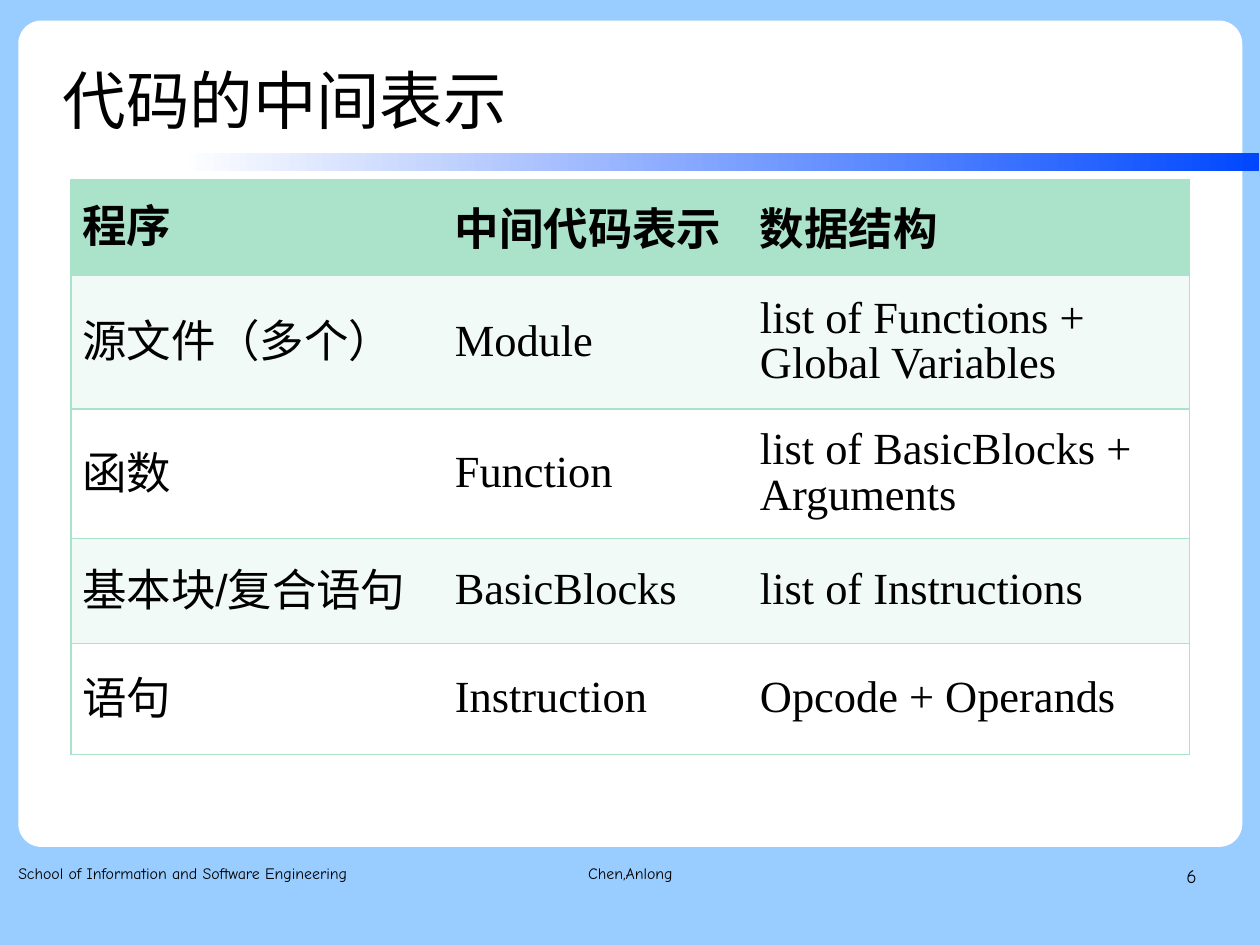
from lxml import etree
from pptx import Presentation
from pptx.dml.color import RGBColor
from pptx.enum.shapes import MSO_SHAPE
from pptx.enum.text import MSO_ANCHOR, PP_ALIGN
from pptx.oxml.ns import qn
from pptx.util import Inches, Pt

GREEN, PALE, WHITE, BLACK = "AAE2CA", "F1FAF6", "FFFFFF", "000000"
SKY, BLUE = "99CCFF", "0047FF"

COLUMNS = [3.26, 2.67, 3.86]
ROWS = [
    (0.84, ["程序", "中间代码表示", "数据结构"]),
    (1.17, ["源文件（多个）", "Module", "list of Functions + Global Variables"]),
    (1.13, ["函数", "Function", "list of BasicBlocks + Arguments"]),
    (0.92, ["基本块/复合语句", "BasicBlocks", "list of Instructions"]),
    (0.97, ["语句", "Instruction", "Opcode + Operands"]),
]


def rgb(color):
    return RGBColor.from_string(color)


def write(tf, text, size, font, spacing, bold=False, align=PP_ALIGN.LEFT):
    p = tf.paragraphs[0]
    p.alignment = align
    p.line_spacing = spacing
    r = p.add_run()
    r.text = text
    r.font.size = Pt(size)
    r.font.name = font
    r.font.bold = bold
    r.font.color.rgb = rgb(BLACK)


def add_text(s, box, text, size, font, spacing, align=PP_ALIGN.LEFT,
             anchor=MSO_ANCHOR.TOP):
    tf = s.shapes.add_textbox(*map(Inches, box)).text_frame
    tf.word_wrap = True
    tf.margin_left = tf.margin_right = tf.margin_top = tf.margin_bottom = 0
    tf.vertical_anchor = anchor
    write(tf, text, size, font, spacing, align=align)


def add_block(s, kind, box):
    sp = s.shapes.add_shape(kind, *map(Inches, box))
    sp.shadow.inherit = False
    sp.line.fill.background()
    return sp


def add_border(cell, side, color):
    tcPr = cell._tc.get_or_add_tcPr()
    ln = etree.SubElement(tcPr, qn(f"a:ln{side}"), w=str(Pt(1)))
    if color:
        fill = etree.SubElement(ln, qn("a:solidFill"))
        etree.SubElement(fill, qn("a:srgbClr"), val=color)
    else:
        etree.SubElement(ln, qn("a:noFill"))


def style_cell(cell, fill, first, last):
    # Horizontal rules everywhere, vertical rules only at the outer edges
    add_border(cell, "L", GREEN if first else None)
    add_border(cell, "R", GREEN if last else None)
    add_border(cell, "T", GREEN)
    add_border(cell, "B", GREEN)
    cell.fill.solid()
    cell.fill.fore_color.rgb = rgb(fill)
    cell.vertical_anchor = MSO_ANCHOR.MIDDLE


def add_code_table(s, box):
    table = s.shapes.add_table(len(ROWS), len(COLUMNS), *map(Inches, box)).table
    for column, width in zip(table.columns, COLUMNS):
        column.width = Inches(width)
    for i, (height, texts) in enumerate(ROWS):
        table.rows[i].height = Inches(height)
        header = i == 0
        fill = GREEN if header else PALE if i % 2 else WHITE
        for j, text in enumerate(texts):
            cell = table.cell(i, j)
            style_cell(cell, fill, j == 0, j == len(COLUMNS) - 1)
            font = "Arial" if header or j == 0 else "Times New Roman"
            write(cell.text_frame, text, 28, font, 0.93 if j else 0.8, header)


def main():
    prs = Presentation()
    prs.slide_width, prs.slide_height = Pt(793.75), Pt(595.25)
    s = prs.slides.add_slide(prs.slide_layouts[6])

    # Background, white panel and gradient bar
    s.background.fill.solid()
    s.background.fill.fore_color.rgb = rgb(SKY)
    panel = add_block(s, MSO_SHAPE.ROUNDED_RECTANGLE, (0.16, 0.18, 10.71, 7.23))
    panel.adjustments[0] = 0.028
    panel.fill.solid()
    panel.fill.fore_color.rgb = rgb(WHITE)
    bar = add_block(s, MSO_SHAPE.RECTANGLE, (1.57, 1.34, 9.45, 0.16))
    bar.fill.gradient()
    bar.fill.gradient_angle = 0
    for stop, color, position in zip(bar.fill.gradient_stops, (WHITE, BLUE), (0, 1)):
        stop.color.rgb = rgb(color)
        stop.position = position

    # Title
    add_text(s, (0.55, 0.33, 8.58, 1.01), "代码的中间表示", 40, "Arial", 1.1,
             anchor=MSO_ANCHOR.MIDDLE)

    # Table
    add_code_table(s, (0.62, 1.57, 9.79, 5.03))

    # Footer
    for left, width, text, size, align in [
        (0.16, 3.38, "School of Information and Software Engineering", 10, PP_ALIGN.LEFT),
        (3.77, 3.49, "Chen,Anlong", 10, PP_ALIGN.CENTER),
        (7.9, 2.57, "6", 12, PP_ALIGN.RIGHT),
    ]:
        add_text(s, (left, 7.53, width, 0.57), text, size, "Comic Neue", 1.16, align)

    prs.save("out.pptx")


if __name__ == "__main__":
    main()
